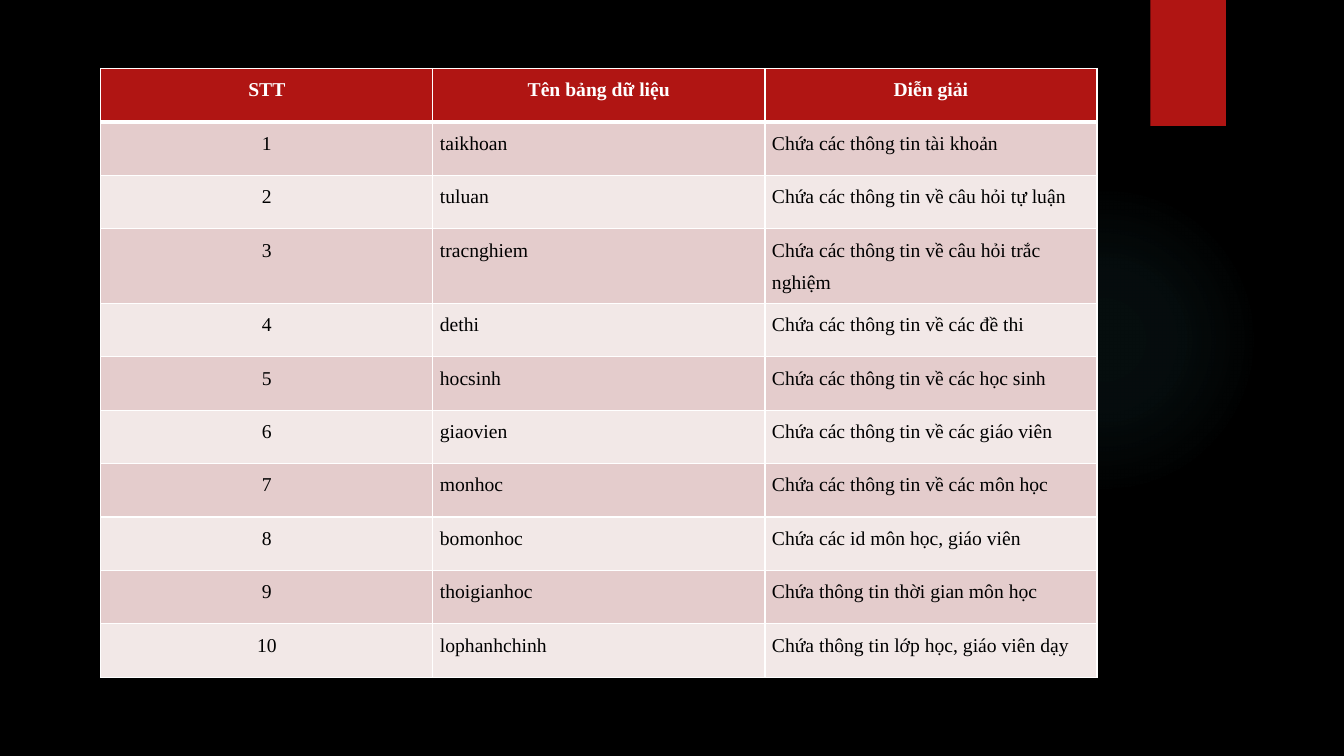
from lxml import etree
from pptx import Presentation
from pptx.dml.color import RGBColor
from pptx.enum.shapes import MSO_SHAPE
from pptx.enum.text import PP_ALIGN
from pptx.oxml import parse_xml
from pptx.oxml.ns import nsdecls, qn
from pptx.util import Inches, Pt

RECT, OVAL = MSO_SHAPE.RECTANGLE, MSO_SHAPE.OVAL
CENTER, LEFT = PP_ALIGN.CENTER, PP_ALIGN.LEFT

BLACK = RGBColor(0x00, 0x00, 0x00)
WHITE = RGBColor(0xFF, 0xFF, 0xFF)
RED = RGBColor(0xB0, 0x15, 0x13)
ROSE = RGBColor(0xE4, 0xCC, 0xCC)
PALE = RGBColor(0xF2, 0xE8, 0xE7)
TEAL = RGBColor(0x50, 0xB9, 0xC1)

GLOW_STOPS = [(0, 7), (36, 6), (69, 0)]  # position and opacity, percent
ROW_HEIGHT, TALL_ROW_HEIGHT = 0.53, 0.74
TALL_ROW = 3

HEADER = ("STT", "Tên bảng dữ liệu", "Diễn giải")
DATA_TABLES = [
    ("taikhoan", "Chứa các thông tin tài khoản"),
    ("tuluan", "Chứa các thông tin về câu hỏi tự luận"),
    ("tracnghiem", "Chứa các thông tin về câu hỏi trắc nghiệm"),
    ("dethi", "Chứa các thông tin về các đề thi"),
    ("hocsinh", "Chứa các thông tin về các học sinh"),
    ("giaovien", "Chứa các thông tin về các giáo viên"),
    ("monhoc", "Chứa các thông tin về các môn học"),
    ("bomonhoc", "Chứa các id môn học, giáo viên"),
    ("thoigianhoc", "Chứa thông tin thời gian môn học"),
    ("lophanhchinh", "Chứa thông tin lớp học, giáo viên dạy"),
]


def add_plain_shape(s, kind, box):
    sp = s.shapes.add_shape(kind, *map(Inches, box))
    sp.shadow.inherit = False
    sp.line.fill.background()
    return sp


def add_glow(s, box):
    sp = add_plain_shape(s, OVAL, box)
    sp.fill.gradient()
    grad = sp.fill._xPr.find(qn("a:gradFill"))
    for child in list(grad):
        grad.remove(child)
    stops = etree.SubElement(grad, qn("a:gsLst"))
    for position, opacity in GLOW_STOPS:
        stop = etree.SubElement(stops, qn("a:gs"), pos=str(position * 1000))
        color = etree.SubElement(stop, qn("a:srgbClr"), val=str(TEAL))
        etree.SubElement(color, qn("a:alpha"), val=str(opacity * 1000))
    circle = etree.SubElement(grad, qn("a:path"), attrib={"path": "circle"})
    etree.SubElement(circle, qn("a:fillToRect"),
                     attrib=dict.fromkeys("ltrb", "50000"))


def add_ribbon(s, box):
    sp = add_plain_shape(s, RECT, box)
    sp.fill.solid()
    sp.fill.fore_color.rgb = RED


def set_borders(cell, widths):
    tcPr = cell._tc.get_or_add_tcPr()
    for side in ("L", "R", "T", "B"):
        tcPr.append(parse_xml(
            f'<a:ln{side} {nsdecls("a")} w="{Pt(widths.get(side, 1))}">'
            f'<a:solidFill><a:srgbClr val="{WHITE}"/></a:solidFill></a:ln{side}>'))


def fill_cell(cell, text, row, column):
    is_header = row == 0
    widths = {"B": 3} if is_header else {"T": 3} if row == 1 else {}
    set_borders(cell, widths)
    cell.fill.solid()
    cell.fill.fore_color.rgb = RED if is_header else ROSE if row % 2 else PALE
    margins = {"margin_left": Inches(0.07), "margin_right": Inches(0.07),
               "margin_top": 0, "margin_bottom": 0}
    for name, value in margins.items():
        setattr(cell, name, value)
    p = cell.text_frame.paragraphs[0]
    p.alignment = CENTER if is_header or column == 0 else LEFT
    p.line_spacing = 1.5
    r = p.add_run()
    r.text = text
    font = {"name": "Times New Roman", "size": Pt(14), "bold": is_header}
    for name, value in font.items():
        setattr(r.font, name, value)
    r.font.color.rgb = WHITE if is_header else BLACK


def add_data_table(s, box):
    rows = [HEADER] + [(str(i), *entry) for i, entry in enumerate(DATA_TABLES, 1)]
    table = s.shapes.add_table(len(rows), len(HEADER), *map(Inches, box)).table
    for column in table.columns:
        column.width = Inches(box[2] / len(HEADER))
    for i, texts in enumerate(rows):
        height = TALL_ROW_HEIGHT if i == TALL_ROW else ROW_HEIGHT
        table.rows[i].height = Inches(height)
        for j, text in enumerate(texts):
            fill_cell(table.cell(i, j), text, i, j)


def main():
    prs = Presentation()
    prs.slide_width, prs.slide_height = Inches(13.33), Inches(7.5)
    s = prs.slides.add_slide(prs.slide_layouts[6])
    s.background.fill.solid()
    s.background.fill.fore_color.rgb = BLACK
    add_glow(s, (9.41, 1.83, 3.08, 3.08))
    add_ribbon(s, (11.41, 0, 0.75, 1.25))
    add_data_table(s, (1, 0.68, 9.88, 6.05))
    prs.save("out.pptx")


if __name__ == "__main__":
    main()
